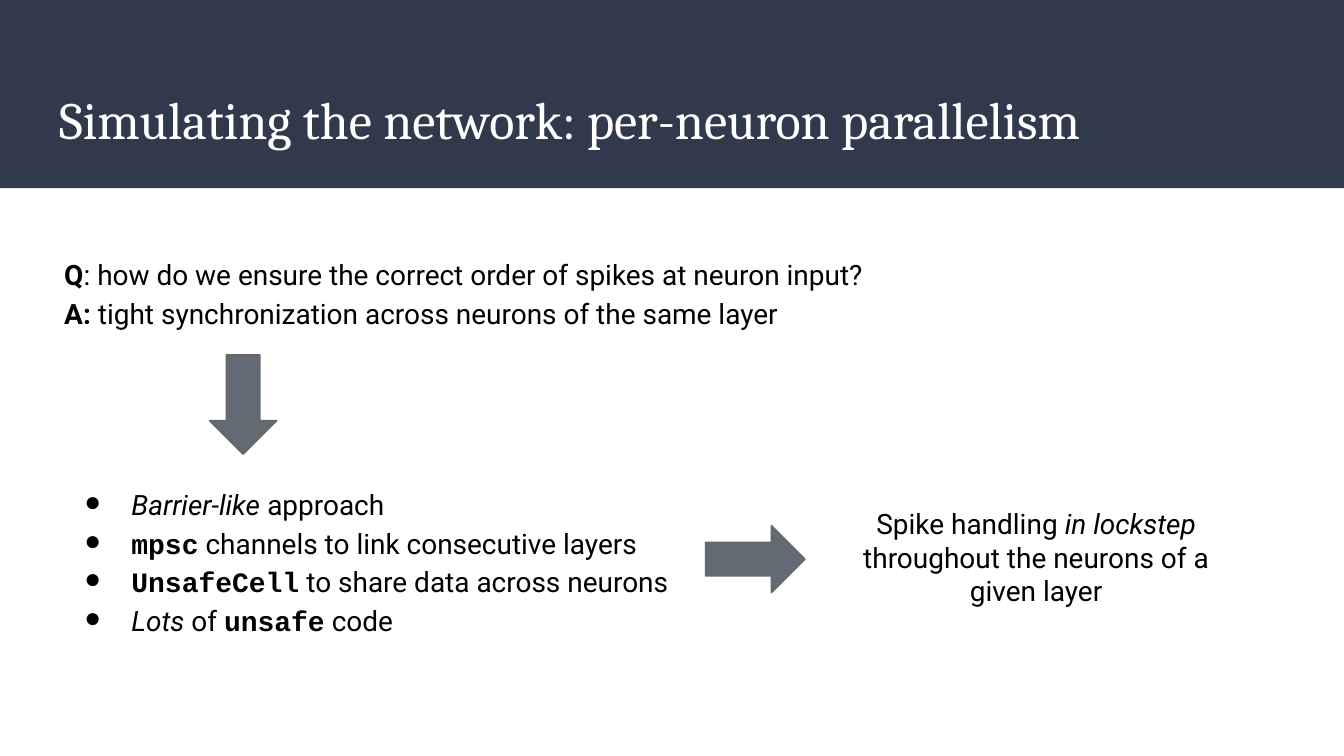
from lxml.etree import SubElement
from pptx import Presentation
from pptx.dml.color import RGBColor
from pptx.enum.shapes import MSO_SHAPE
from pptx.enum.text import MSO_ANCHOR, MSO_AUTO_SIZE, PP_ALIGN
from pptx.oxml.ns import qn
from pptx.util import Inches, Pt

NAVY, SLATE, GREY, BLACK, WHITE = "31394D", "626B73", "666666", "000000", "FFFFFF"
PLAIN = {"name": "Roboto", "size": Pt(15), "bold": False, "italic": False}
BOLD = PLAIN | {"bold": True}
ITALIC = PLAIN | {"italic": True}
CODE = BOLD | {"name": "Courier New"}
HEADING = {"name": "Cambria", "size": Pt(28), "bold": False}
FRAME = {"word_wrap": True, "auto_size": MSO_AUTO_SIZE.NONE,
         "vertical_anchor": MSO_ANCHOR.TOP} | {
    f"margin_{side}": Inches(0.1) for side in ("left", "right", "top", "bottom")}

QUESTION = [
    [("Q", BOLD), (": how do we ensure the correct order of spikes at neuron input?", PLAIN)],
    [("A: ", BOLD), ("tight synchronization across neurons of the same layer", PLAIN)],
]
APPROACH = [
    [("Barrier-like", ITALIC), (" approach", PLAIN)],
    [("mpsc", CODE), (" channels to link consecutive layers", PLAIN)],
    [("UnsafeCell", CODE), (" to share data across neurons", PLAIN)],
    [("Lots", ITALIC), (" of ", PLAIN), ("unsafe", CODE), (" code", PLAIN)],
]
OUTCOME = [
    [("Spike handling ", PLAIN), ("in lockstep", ITALIC),
     (" throughout the neurons of a given layer", PLAIN)],
]


def colour(hex_value):
    return RGBColor.from_string(hex_value)


def apply(target, values):
    for key, value in values.items():
        setattr(target, key, value)


def add_run(paragraph, text, style, hex_value):
    run = paragraph.add_run()
    run.text = text
    apply(run.font, style)
    run.font.color.rgb = colour(hex_value)


def add_bullet(paragraph):
    properties = paragraph._p.get_or_add_pPr()
    properties.set("marL", str(Inches(0.5)))
    properties.set("indent", str(Inches(-0.35)))
    bullet_colour = SubElement(properties, qn("a:buClr"))
    SubElement(bullet_colour, qn("a:srgbClr"), val=BLACK)
    SubElement(properties, qn("a:buFont"), typeface="Courier New")
    SubElement(properties, qn("a:buChar"), char="●")


def add_header(slide, left, top, width, height):
    """Place the coloured band with the slide title on it."""
    band = slide.shapes.add_shape(
        MSO_SHAPE.RECTANGLE, Inches(left), Inches(top), Inches(width), Inches(height))
    band.shadow.inherit = False
    band.fill.solid()
    band.fill.fore_color.rgb = colour(NAVY)
    band.line.fill.background()

    title = slide.shapes.title
    title._element.addprevious(band._element)
    apply(title, {"left": Inches(left + 0.34), "top": Inches(top + 0.55),
                  "width": Inches(width + 0.09), "height": Inches(0.73)})
    apply(title.text_frame, FRAME)
    heading = title.text_frame.paragraphs[0]
    heading.alignment = PP_ALIGN.LEFT
    add_run(heading, "Simulating the network: per-neuron parallelism", HEADING, WHITE)


def add_text(slide, left, top, width, height, lines, spacing=1.15,
             align=PP_ALIGN.LEFT, bulleted=False):
    frame = slide.shapes.add_textbox(
        Inches(left), Inches(top), Inches(width), Inches(height)).text_frame
    apply(frame, FRAME)
    for index, line in enumerate(lines):
        paragraph = frame.add_paragraph() if index else frame.paragraphs[0]
        apply(paragraph, {"alignment": align, "line_spacing": spacing})
        if bulleted:
            add_bullet(paragraph)
        for text, style in line:
            add_run(paragraph, text, style, BLACK)


def add_arrow(slide, left, top, rotation=0):
    arrow = slide.shapes.add_shape(
        MSO_SHAPE.DOWN_ARROW, Inches(left), Inches(top), Inches(0.5), Inches(0.74))
    arrow.rotation = rotation
    arrow.shadow.inherit = False
    arrow.fill.solid()
    arrow.fill.fore_color.rgb = colour(SLATE)
    arrow.line.color.rgb = colour(GREY)
    arrow.line.width = Pt(0.75)


def add_argument(slide, left, top):
    """Lead from the question down to the approach, then right to its outcome."""
    add_text(slide, left, top, 8.76, 0.78, QUESTION)
    add_arrow(slide, left + 1.18, top + 0.86)
    add_text(slide, left, top + 1.71, 4.7, 1.33, APPROACH, bulleted=True)
    add_arrow(slide, left + 4.99, top + 2.01, rotation=270)
    add_text(slide, left + 5.9, top + 1.89, 2.86, 0.96, OUTCOME,
             spacing=1.0, align=PP_ALIGN.CENTER)


def main():
    deck = Presentation()
    apply(deck, {"slide_width": Inches(10), "slide_height": Inches(10) * 9 // 16})
    slide = deck.slides.add_slide(deck.slide_layouts.get_by_name("Title Only"))
    add_header(slide, 0, 0, 10, 1.4)
    add_argument(slide, 0.38, 1.78)
    deck.save("out.pptx")


if __name__ == "__main__":
    main()
